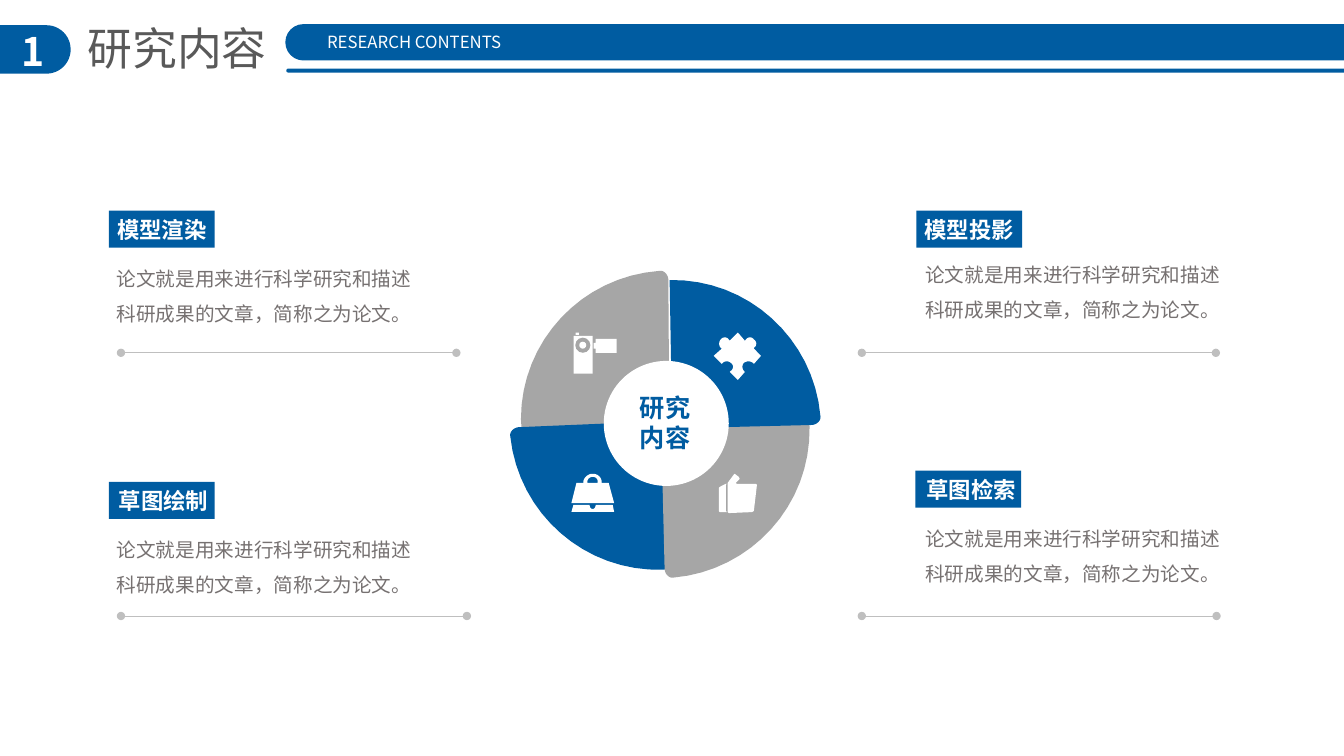
from dataclasses import dataclass
from math import cos, radians, sin

from lxml.etree import SubElement as Sub
from pptx import Presentation
from pptx.dml.color import RGBColor as RGB
from pptx.enum.shapes import MSO_CONNECTOR as Link, MSO_SHAPE as Kind
from pptx.enum.text import MSO_ANCHOR as Anchor, PP_ALIGN as Align
from pptx.oxml.ns import qn
from pptx.util import Pt


@dataclass
class Theme:
    font: str = "Noto Sans CJK SC"
    blue: str = "005CA1"
    gray: str = "A6A6A6"
    white: str = "FFFFFF"
    dark: str = "595959"
    body: str = "767171"
    rule: str = "BFBFBF"
    number: int = 28
    title: int = 32
    sub: int = 12
    tag: int = 16
    text: int = 14
    hub: int = 18


look = Theme()
deck = Presentation()
deck.slide_width, deck.slide_height = Pt(960), Pt(540)
slide = deck.slides.add_slide(deck.slide_layouts[6])
shapes = slide.shapes


def paint(shape, color):
    shape.shadow.inherit = False
    shape.fill.solid()
    shape.fill.fore_color.rgb = RGB.from_string(color)
    shape.line.fill.background()


def write(shape, text, size, color, bold=False, align=Align.LEFT, wrap=True):
    frame = shape.text_frame
    frame.word_wrap = wrap
    par = frame.paragraphs[0]
    par.text, par.alignment = text, align
    font = par.font
    font.size, font.bold, font.name = Pt(size), bold, look.font
    font.color.rgb = RGB.from_string(color)
    # Chinese letters take the East Asian typeface
    Sub(par._p.pPr.find(qn("a:defRPr")), qn("a:ea"), typeface=look.font)
    return par


# Header
pills = [(-20, 18, 70.5, 34.6), (203.8, 17.2, 794, 26), (204.5, 49, 794, 2.8)]
for box in pills:
    bar = shapes.add_shape(Kind.ROUNDED_RECTANGLE, *map(Pt, box))
    bar.adjustments[0] = 0.5
    paint(bar, look.blue)
    if box == pills[1]:
        write(bar, "RESEARCH CONTENTS", look.sub, look.white, wrap=False)
        bar.text_frame.margin_left = Pt(26)
        bar.text_frame.vertical_anchor = Anchor.MIDDLE
num = shapes.add_textbox(Pt(5), Pt(15.8), Pt(36.7), Pt(41))
write(num, "1", look.number, look.white, True, Align.CENTER)
head = shapes.add_textbox(Pt(55.4), Pt(11.5), Pt(147.6), Pt(46))
write(head, "研究内容", look.title, look.dark, wrap=False)

# Cards: tag, tag corner, tag inset, text corner, rule ends and height
cards = [
    ("模型渲染", 77.8, 150.5, 5.8, 76.3, 178.6, 86.4, 326, 252),
    ("草图绘制", 77.8, 344.2, 7.2, 76.3, 372.2, 86.4, 333.5, 440),
    ("模型投影", 654.5, 150.5, 5.8, 653.8, 175.7, 615.6, 868.5, 252),
    ("草图检索", 653.8, 336.2, 7.9, 653.8, 364.3, 615.6, 869, 440),
]
story = "论文就是用来进行科学研究和描述科研成果的文章，简称之为论文。"
for name, x, y, pad, left, top, start, end, base in cards:
    rule = shapes.add_connector(Link.STRAIGHT, Pt(start), Pt(base), Pt(end), Pt(base))
    rule.line.color.rgb = RGB.from_string(look.rule)
    rule.line.width = Pt(0.5)
    props = rule._element.spPr
    for tip in ("a:headEnd", "a:tailEnd"):
        Sub(props.find(qn("a:ln")), qn(tip), type="oval")
    Sub(props, qn("a:effectLst"))

    tag = shapes.add_shape(Kind.RECTANGLE, Pt(x), Pt(y), Pt(75.6), Pt(26.4))
    paint(tag, look.blue)
    write(tag, name, look.tag, look.white, True, wrap=False)
    tag.text_frame.margin_left = Pt(pad)
    tag.text_frame.vertical_anchor = Anchor.MIDDLE

    note = shapes.add_textbox(Pt(left), Pt(top), Pt(229.7), Pt(58.3))
    write(note, story, look.text, look.body).line_spacing = 1.5

# Outlines: a pair is a corner, six numbers are a Bezier curve.
# Each petal is one quarter turned about its own hub; lap runs under the next.
outlines = []
petals = [
    (478.1, 299.5, 0, 7, look.gray),
    (470.2, 301, 268, 7, look.blue),
    (472.3, 306.7, 179, 7, look.gray),
    (480.2, 306, 89, 0, look.blue),
]
for x, y, turn, lap, color in petals:
    quarter = [(-106, 0), (-106, -56, -62.5, -102, -7, -106),
               (-3.5, -106.5, -0.7, -103, -0.7, -99.5),
               (0, 0), (0, lap), (-105.5, lap)]
    outlines.append((x, y, turn, color, [quarter]))

finder = [(16.5, 0), (1.5, 0), (1.5, 3), (0, 3), (0, 7), (1.5, 7), (1.5, 10),
          (16.5, 10)]
puzzle = [
    (6.5, 21.6), (7.9, 20.2, 10.8, 20.2, 12.2, 21.6),
    (14.4, 23, 14.4, 25.9, 12.2, 27.4), (11.5, 28.1), (17.3, 33.8),
    (22.3, 28.1), (21.6, 27.4), (20.2, 25.9, 20.2, 23, 21.6, 21.6),
    (23.8, 20.2, 25.9, 20.2, 28.1, 21.6), (28.8, 22.3), (33.8, 16.6),
    (28.8, 11.5), (28.8, 10.8), (31, 9.4, 31, 6.5, 28.8, 5),
    (27.4, 2.9, 24.5, 2.9, 23, 5), (22.3, 5.8), (17.3, 0), (11.5, 5.8),
    (10.8, 5), (9.4, 2.9, 6.5, 2.9, 5, 5), (3.6, 6.5, 3.6, 9.4, 5, 10.8),
    (5.8, 11.5), (0, 16.6), (5.8, 22.3),
]
base = [(17.3, 0), (17.3, 1.4, 16.6, 2.9, 15.1, 2.9),
        (13.7, 2.9, 13, 1.4, 13, 0), (1.4, 0), (0, 5), (30.5, 5), (29.5, 0)]
bag = [(21.6, 6.5), (21.6, 5), (20.9, 2.2, 18.7, 0, 15.1, 0),
       (12.2, 0, 9.4, 2.2, 8.6, 5), (8.6, 6.5), (3.6, 6.5), (0, 20.9),
       (30.5, 20.9), (26.6, 6.5)]
grip = [(11.5, 6.5), (11.5, 5), (11.5, 3.6, 13.7, 2.2, 15.1, 2.2),
        (17.3, 2.2, 18.7, 3.6, 18.7, 5), (18.7, 6.5)]
cuff = [(5.8, 0), (5, 0), (0.7, 2.2), (0, 2.9), (0, 19.4), (0.7, 20.2),
        (5.8, 20.2), (5, 19.4), (5, 0.7)]
hand = [(0, 27.4), (0.7, 28.1), (17.3, 27.4), (18.7, 26.6), (20.9, 7.9),
        (20.2, 7.2), (6.5, 7.2), (5.8, 6.5), (8.6, 3.6), (7.9, 2.2), (5, 0),
        (4.3, 0.7), (0, 6.5)]
icons = [
    (424, 242, [finder]), (509.8, 237.6, [puzzle]), (408.2, 360.7, [base]),
    (408.2, 338.4, [bag, grip]), (513.4, 345.6, [cuff]), (519.8, 338.4, [hand]),
]
outlines += [(x, y, 0, look.white, loops) for x, y, loops in icons]

for x, y, turn, color, loops in outlines:
    c, s = cos(radians(turn)), sin(radians(turn))
    pen = None
    for loop in loops:
        dots = []
        for step in loop:
            if len(step) == 2:
                dots.append(step)
                continue
            hull = list(zip((dots[-1] + step)[::2], (dots[-1] + step)[1::2]))
            for k in range(1, 17):
                t = k / 16
                mix = ((1 - t) ** 3, 3 * t * (1 - t) ** 2, 3 * t * t * (1 - t), t ** 3)
                dots.append(tuple(sum(m * p[i] for m, p in zip(mix, hull))
                                  for i in (0, 1)))
        spots = [(Pt(x + c * u - s * v), Pt(y + s * u + c * v)) for u, v in dots]
        if pen is None:
            pen = shapes.build_freeform(*spots[0])
        else:
            pen.move_to(*spots[0])
        pen.add_line_segments(spots[1:], close=True)
    paint(pen.convert_to_shape(), color)

# Hub of the wheel and the plain parts of the camera
plain = [
    (Kind.OVAL, 431.3, 257.8, 89.3, 89.3, look.white),
    (Kind.RECTANGLE, 411.1, 237.6, 2.4, 1.6, look.white),
    (Kind.RECTANGLE, 409.7, 239.9, 13.7, 27, look.white),
    (Kind.OVAL, 410.9, 241.2, 10.8, 10.8, look.gray),
    (Kind.OVAL, 413.8, 244.1, 5, 5, look.white),
]
for kind, *box, color in plain:
    paint(shapes.add_shape(kind, *map(Pt, box)), color)
core = shapes.add_textbox(Pt(450), Pt(276.5), Pt(53.3), Pt(51))
write(core, "研究内容", look.hub, look.blue, True)

deck.save("out.pptx")
